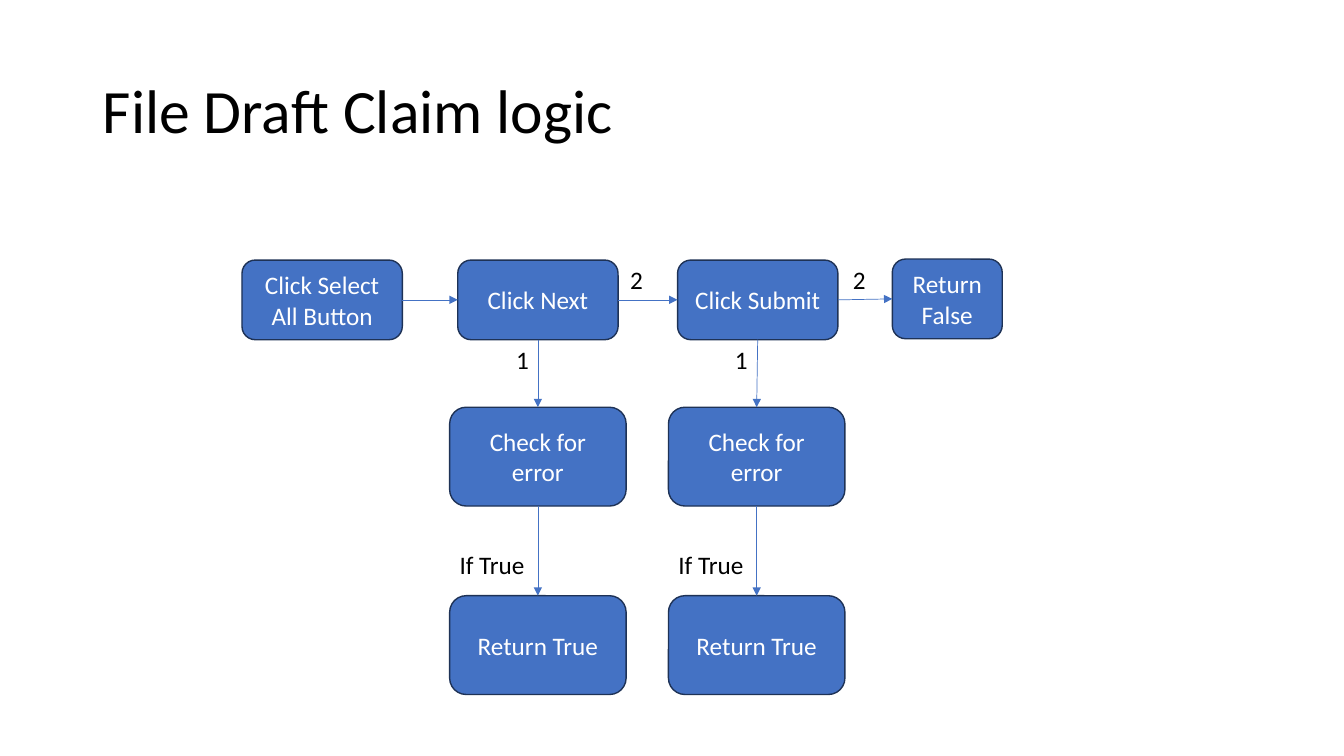
from lxml.etree import SubElement
from pptx import Presentation
from pptx.dml.color import RGBColor
from pptx.enum.shapes import MSO_CONNECTOR, MSO_SHAPE
from pptx.enum.text import MSO_ANCHOR, MSO_AUTO_SIZE, PP_ALIGN
from pptx.oxml.ns import qn
from pptx.util import Pt

SCALE = 9144
TOP, LEFT, BOTTOM, RIGHT = range(4)
BLUE, NAVY, WHITE, BLACK = "4472C4", "1E3256", "FFFFFF", "000000"


def px(*sizes):
    return [size * SCALE for size in sizes]


def color(code):
    return RGBColor.from_string(code)


def apply(item, values):
    for name, value in values.items():
        setattr(item, name, value)


def write(shape, text, size, tint, frame, para):
    body = shape.text_frame
    body.text = text
    apply(body, frame)
    line = body.paragraphs[0]
    apply(line, para)
    apply(line.runs[0].font, {"name": "Calibri", "size": Pt(size)})
    line.runs[0].font.color.rgb = color(tint)


def add_title(slide, text):
    title = slide.shapes.title
    left, top, width, height = px(92, 40, 1150, 145)
    apply(title, {"left": left, "top": top, "width": width, "height": height})
    write(title, text, 44, BLACK,
          {"word_wrap": True, "vertical_anchor": MSO_ANCHOR.MIDDLE},
          {"alignment": PP_ALIGN.LEFT, "line_spacing": 0.9})


def add_step(slide, text, *place):
    step = slide.shapes.add_shape(
        MSO_SHAPE.FLOWCHART_ALTERNATE_PROCESS, *px(*place))
    step.shadow.inherit = False
    step.fill.solid()
    step.fill.fore_color.rgb = color(BLUE)
    step.line.color.rgb = color(NAVY)
    step.line.width = Pt(1)
    write(step, text, 18, WHITE,
          {"word_wrap": True, "vertical_anchor": MSO_ANCHOR.MIDDLE},
          {"alignment": PP_ALIGN.CENTER})
    return step


def add_arrow(slide, start, out, end, into):
    arrow = slide.shapes.add_connector(MSO_CONNECTOR.STRAIGHT, 0, 0, 0, 0)
    arrow.begin_connect(start, out)
    arrow.end_connect(end, into)
    arrow.line.color.rgb = color(BLUE)
    arrow.line.width = Pt(0.5)
    SubElement(arrow.line._get_or_add_ln(), qn("a:tailEnd"), type="triangle")
    SubElement(arrow._element.spPr, qn("a:effectLst"))


def add_label(slide, text, left, top, width):
    label = slide.shapes.add_textbox(*px(left, top, width, 40))
    write(label, text, 18, BLACK,
          {"word_wrap": True, "auto_size": MSO_AUTO_SIZE.SHAPE_TO_FIT_TEXT},
          {"alignment": PP_ALIGN.LEFT})


def add_branch(slide, step, left):
    check = add_step(slide, "Check for error", left, 404, 175, 98)
    result = add_step(slide, "Return True", left, 591, 175, 98)
    add_arrow(slide, step, BOTTOM, check, TOP)
    add_arrow(slide, check, BOTTOM, result, TOP)
    add_label(slide, "1", left + 56, 337, 39)
    add_label(slide, "If True", left, 540, 87)


def main():
    deck = Presentation()
    deck.slide_width, deck.slide_height = px(1333, 750)
    slide = deck.slides.add_slide(deck.slide_layouts[5])
    add_title(slide, "File Draft Claim logic")

    pick = add_step(slide, "Click Select All Button", 240, 258, 159, 79)
    follow = add_step(slide, "Click Next", 454, 258, 159, 79)
    submit = add_step(slide, "Click Submit", 672, 258, 159, 79)
    fail = add_step(slide, "Return False", 885, 257, 109, 79)
    row = [pick, follow, submit, fail]
    for start, end in zip(row, row[1:]):
        add_arrow(slide, start, RIGHT, end, LEFT)

    for step, left in ((follow, 446), (submit, 663)):
        add_branch(slide, step, left)
    for left in (615, 836):
        add_label(slide, "2", left, 257, 55)
    deck.save("out.pptx")


if __name__ == "__main__":
    main()
